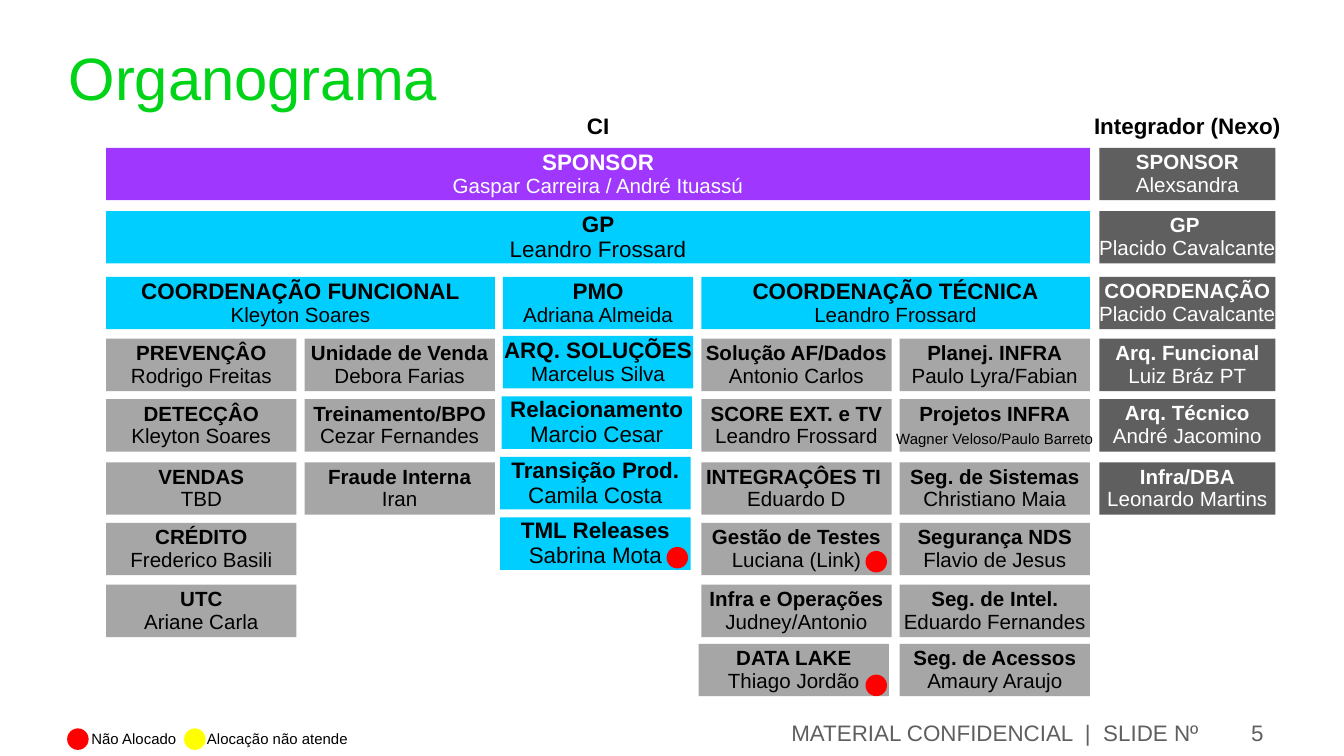
from dataclasses import dataclass

from pptx import Presentation
from pptx import util as u
from pptx.dml.color import RGBColor
from pptx.enum import shapes, text

GREEN = RGBColor(0x00, 0xD3, 0x18)
PURPLE = RGBColor(0x9F, 0x37, 0xFE)
CYAN = RGBColor(0x00, 0xCE, 0xFF)
LIGHT_GRAY = RGBColor(0xA6, 0xA6, 0xA6)
DARK_GRAY = RGBColor(0x5F, 0x5F, 0x5F)
RED = RGBColor(0xFF, 0x00, 0x00)
YELLOW = RGBColor(0xFF, 0xFF, 0x00)
BLACK = RGBColor(0x00, 0x00, 0x00)
WHITE = RGBColor(0xFF, 0xFF, 0xFF)

FONT = "Arial"
SLIDE_WIDTH = u.Inches(10)
SLIDE_HEIGHT = SLIDE_WIDTH * 9 // 16
LEFT, WIDTH, GAP, COLUMNS = 0.79, 7.32, 0.06, 5
COLUMN_PITCH = (WIDTH + GAP) / COLUMNS
INTEGRATOR_LEFT, INTEGRATOR_WIDTH, HEADER_OVERHANG = 8.18, 1.31, 0.11
ROW_TOPS = (1.1, 1.57, 2.06, 2.52, 2.97, 3.44, 3.89, 4.35, 4.79)
FIRST_TEAM_ROW = 3
PMO_TOP, PMO_PITCH = 2.5, 0.45
BOX_HEIGHT = 0.39
DOT_SIZE = 0.16
LEFT_ALIGN, CENTER, RIGHT = text.PP_ALIGN.LEFT, text.PP_ALIGN.CENTER, text.PP_ALIGN.RIGHT
MIDDLE, BOTTOM = text.MSO_ANCHOR.MIDDLE, text.MSO_ANCHOR.BOTTOM


@dataclass(frozen=True)
class Style:
    fill: RGBColor
    color: RGBColor = BLACK
    role_size: float = 12
    name_size: float = 11
    margin: float = 0.05
    spacing: float | u.Pt = 0.93


@dataclass(frozen=True)
class Box:
    role: str
    name: str
    style: Style
    left: float
    top: float
    width: float


@dataclass(frozen=True)
class Label:
    words: str
    left: float
    top: float
    width: float
    height: float
    size: float
    color: RGBColor = BLACK
    bold: bool = False
    align: text.PP_ALIGN = LEFT_ALIGN
    anchor: text.MSO_ANCHOR = MIDDLE
    margins: tuple[float, float] = (0.04, 0)
    wrap: bool = False
    spacing: float = 0.93


SPONSOR = Style(PURPLE, WHITE)
MANAGER = Style(CYAN, name_size=12)
COORDINATION = Style(CYAN)
TEAM = Style(LIGHT_GRAY, role_size=11, margin=0, spacing=u.Pt(12))
CROWDED_TEAM = Style(LIGHT_GRAY, role_size=11, name_size=8, margin=0, spacing=u.Pt(12))
INTEGRATOR = Style(DARK_GRAY, WHITE, role_size=11)

# role, name, style, column, columns spanned, row
LEADERS = [
    ("SPONSOR", "Gaspar Carreira / André Ituassú", SPONSOR, 0, 5, 0),
    ("GP", "Leandro Frossard", MANAGER, 0, 5, 1),
    ("COORDENAÇÃO FUNCIONAL", "Kleyton Soares", COORDINATION, 0, 2, 2),
    ("PMO", "Adriana Almeida", COORDINATION, 2, 1, 2),
    ("COORDENAÇÃO TÉCNICA", "Leandro Frossard", COORDINATION, 3, 2, 2),
]
TEAMS = {
    0: [("PREVENÇÂO", "Rodrigo Freitas"), ("DETECÇÂO", "Kleyton Soares"),
        ("VENDAS", "TBD"), ("CRÉDITO", "Frederico Basili"), ("UTC", "Ariane Carla")],
    1: [("Unidade de Venda", "Debora Farias"), ("Treinamento/BPO", "Cezar Fernandes"),
        ("Fraude Interna", "Iran")],
    3: [("Solução AF/Dados", "Antonio Carlos"), ("SCORE EXT. e TV", "Leandro Frossard"),
        ("INTEGRAÇÔES TI ", "Eduardo D"), ("Gestão de Testes", "Luciana (Link)"),
        ("Infra e Operações", "Judney/Antonio"), ("DATA LAKE", "Thiago Jordão")],
    4: [("Planej. INFRA", "Paulo Lyra/Fabian"),
        ("Projetos INFRA", "Wagner Veloso/Paulo Barreto"),
        ("Seg. de Sistemas", "Christiano Maia"), ("Segurança NDS", "Flavio de Jesus"),
        ("Seg. de Intel.", "Eduardo Fernandes"), ("Seg. de Acessos", "Amaury Araujo")],
}
PMO_TEAMS = [
    ("ARQ. SOLUÇÕES", "Marcelus Silva", COORDINATION, 0),
    ("Relacionamento", "Marcio Cesar", MANAGER, -0.01),
    ("Transição Prod.", "Camila Costa", MANAGER, -0.02),
    ("TML Releases", "Sabrina Mota", MANAGER, -0.02),
]
INTEGRATOR_TEAM = [
    ("SPONSOR", "Alexsandra"), ("GP ", "Placido Cavalcante"),
    ("COORDENAÇÃO", "Placido Cavalcante"), ("Arq. Funcional", "Luiz Bráz PT"),
    ("Arq. Técnico", "André Jacomino"), ("Infra/DBA", "Leonardo Martins"),
]
HEADER = dict(top=0.77, height=0.32, size=12, bold=True, align=CENTER,
              anchor=BOTTOM, margins=(0.04, 0.05))
FOOTER = dict(top=5.33, height=0.24, size=12, color=DARK_GRAY, align=RIGHT,
              margins=(0.1, 0.05), wrap=True, spacing=1.0)
LABELS = [
    Label("Organograma", 0.51, 0.3, 8.98, 0.78, 32, GREEN, anchor=text.MSO_ANCHOR.TOP,
          margins=(0, 0), wrap=True, spacing=1.0),
    Label("MATERIAL CONFIDENCIAL  |  SLIDE Nº", left=0.5, width=8.52, **FOOTER),
    Label("5", left=9.02, width=0.48, **FOOTER),
    Label("CI", left=LEFT, width=WIDTH, **HEADER),
    Label("Integrador (Nexo)", left=INTEGRATOR_LEFT - HEADER_OVERHANG,
          width=INTEGRATOR_WIDTH + 2 * HEADER_OVERHANG, **HEADER),
    Label("Não Alocado", 0.64, 5.37, 0.74, 0.27, 8),
    Label("Alocação não atende", 1.5, 5.39, 1.21, 0.23, 8),
]
DOTS = [(0.5, 5.42, RED), (1.37, 5.42, YELLOW),
        (6.44, 4.1, RED), (6.44, 5.02, RED), (4.96, 4.07, RED)]


def column_left(column: int) -> float:
    return LEFT + column * COLUMN_PITCH


def span_width(columns: int) -> float:
    return columns * COLUMN_PITCH - GAP


def chart_boxes() -> list[Box]:
    boxes = [Box(role, name, style, column_left(column), ROW_TOPS[row], span_width(span))
             for role, name, style, column, span, row in LEADERS]
    for column, teams in TEAMS.items():
        for (role, name), top in zip(teams, ROW_TOPS[FIRST_TEAM_ROW:]):
            style = CROWDED_TEAM if role == "Projetos INFRA" else TEAM
            nudge = -0.02 if role == "DATA LAKE" else 0
            boxes.append(Box(role, name, style, column_left(column) + nudge, top, span_width(1)))
    for index, (role, name, style, nudge) in enumerate(PMO_TEAMS):
        boxes.append(Box(role, name, style, column_left(2) + nudge,
                         PMO_TOP + index * PMO_PITCH, span_width(1)))
    for (role, name), top in zip(INTEGRATOR_TEAM, ROW_TOPS):
        boxes.append(Box(role, name, INTEGRATOR, INTEGRATOR_LEFT, top, INTEGRATOR_WIDTH))
    return boxes


def set_frame(frame, anchor: text.MSO_ANCHOR, margins: tuple[float, float], wrap: bool) -> None:
    frame.word_wrap = wrap
    frame.vertical_anchor = anchor
    frame.margin_left = frame.margin_right = u.Inches(margins[0])
    frame.margin_top = frame.margin_bottom = u.Inches(margins[1])


def write(paragraph, words: str, size: float, color: RGBColor, bold: bool,
          align: text.PP_ALIGN, spacing: float | u.Pt) -> None:
    paragraph.text = words
    paragraph.alignment = align
    paragraph.line_spacing = spacing
    paragraph.font.name = FONT
    paragraph.font.size = u.Pt(size)
    paragraph.font.bold = bold
    paragraph.font.color.rgb = color


def add_filled(slide, kind: shapes.MSO_SHAPE, left: float, top: float,
               width: float, height: float, fill: RGBColor):
    shape = slide.shapes.add_shape(kind, *map(u.Inches, (left, top, width, height)))
    shape.shadow.inherit = False
    shape.fill.solid()
    shape.fill.fore_color.rgb = fill
    shape.line.fill.background()
    return shape


def add_box(slide, box: Box) -> None:
    style = box.style
    frame = add_filled(slide, shapes.MSO_SHAPE.RECTANGLE, box.left, box.top,
                       box.width, BOX_HEIGHT, style.fill).text_frame
    set_frame(frame, MIDDLE, (0.04, style.margin), False)
    write(frame.paragraphs[0], box.role, style.role_size, style.color, True, CENTER, style.spacing)
    write(frame.add_paragraph(), box.name, style.name_size, style.color, False, CENTER,
          style.spacing)


def add_label(slide, label: Label) -> None:
    frame = slide.shapes.add_textbox(
        *map(u.Inches, (label.left, label.top, label.width, label.height))).text_frame
    set_frame(frame, label.anchor, label.margins, label.wrap)
    write(frame.paragraphs[0], label.words, label.size, label.color,
          label.bold, label.align, label.spacing)


def main() -> None:
    presentation = Presentation()
    presentation.slide_width, presentation.slide_height = SLIDE_WIDTH, SLIDE_HEIGHT
    slide = presentation.slides.add_slide(presentation.slide_layouts[6])
    for label in LABELS:
        add_label(slide, label)
    for box in chart_boxes():
        add_box(slide, box)
    for left, top, color in DOTS:
        add_filled(slide, shapes.MSO_SHAPE.OVAL, left, top, DOT_SIZE, DOT_SIZE, color)
    presentation.save("out.pptx")


if __name__ == "__main__":
    main()
